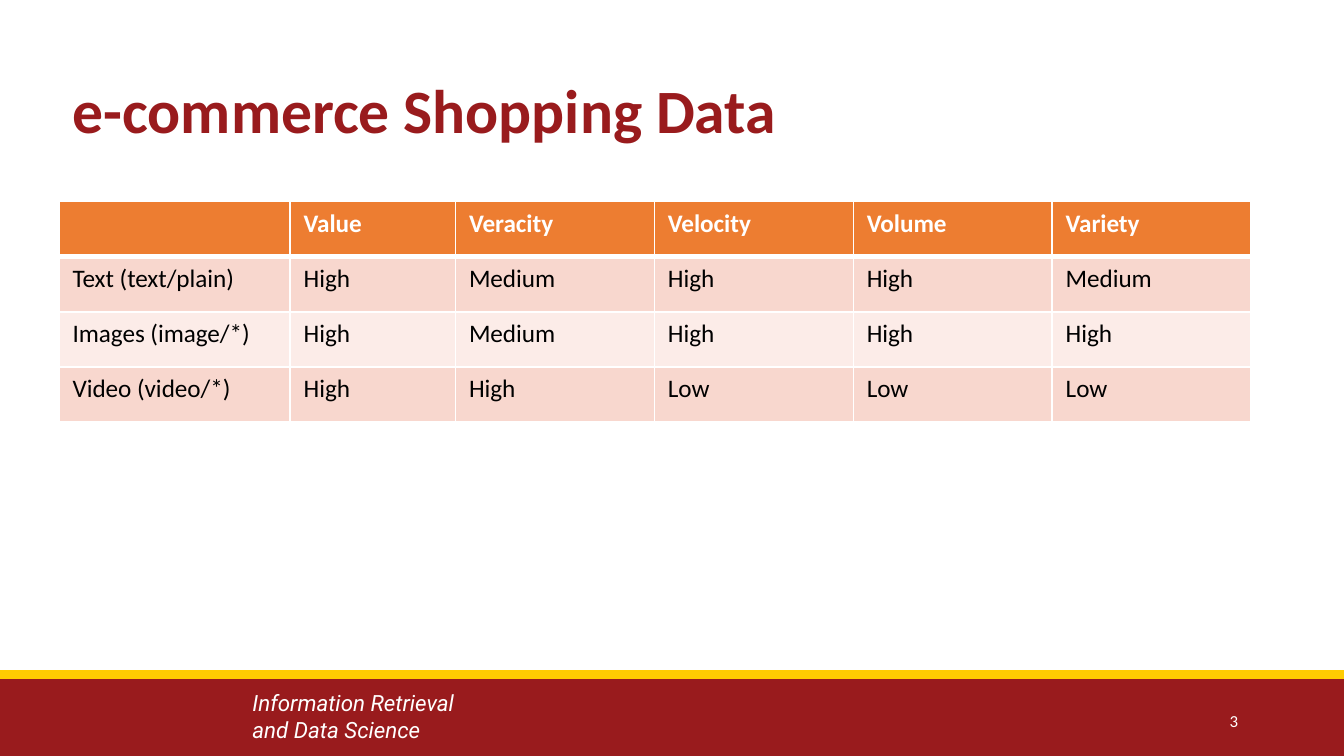
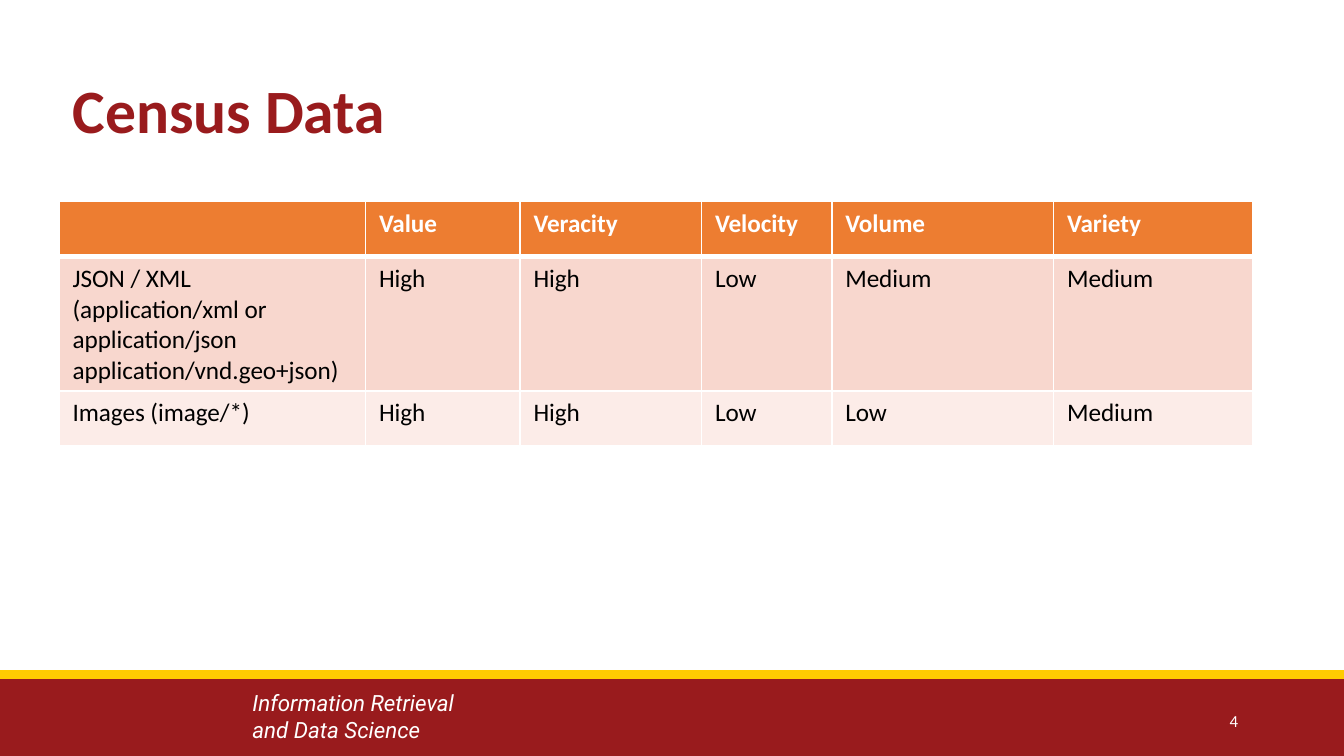
from lxml import etree
from pptx import Presentation
from pptx.dml.color import RGBColor
from pptx.enum import shapes, text
from pptx.oxml.ns import qn
from pptx.util import Inches, Pt

CARDINAL = RGBColor(0x99, 0x1B, 0x1D)
GOLD = RGBColor(0xFF, 0xCC, 0x01)
WHITE = RGBColor(0xFF, 0xFF, 0xFF)
BLACK = RGBColor(0x00, 0x00, 0x00)
ORANGE = RGBColor(0xED, 0x7D, 0x31)
BANDS = [RGBColor(0xF8, 0xD7, 0xCE), RGBColor(0xFC, 0xEC, 0xE8)]

SLIDE_W, SLIDE_H = 10, 5.625
LEFT, CONTENT_W = 0.44, 8.87
BAND_TOP = 5.02
TABLE_TOP, ROW_H = 1.5, 0.41
FIRST_NUMBER = 3

FOOTER = ["Information Retrieval", "and Data Science"]
HEADER = ["", "Value", "Veracity", "Velocity", "Volume", "Variety"]
SLIDES = [
    {
        "title": "e-commerce Shopping Data",
        "widths": [1.72, 1.23, 1.48, 1.48, 1.48, 1.48],
        "rows": [
            ["Text (text/plain)", "High", "Medium", "High", "High", "Medium"],
            ["Images (image/*)", "High", "Medium", "High", "High", "High"],
            ["Video (video/*)", "High", "High", "Low", "Low", "Low"],
        ],
    },
    {
        "title": "Census Data",
        "widths": [2.28, 1.15, 1.35, 0.97, 1.65, 1.48],
        "rows": [
            ["JSON / XML (application/xml or application/json\n"
             "application/vnd.geo+json)", "High", "High", "Low", "Medium", "Medium"],
            ["Images (image/*)", "High", "High", "Low", "Low", "Medium"],
        ],
    },
]


def write(frame, lines, size, color, font="Calibri", bold=False, italic=False):
    """Put each line in its own paragraph; return the paragraphs."""
    for number, line in enumerate(lines):
        paragraph = frame.paragraphs[0] if number == 0 else frame.add_paragraph()
        if not line:
            continue
        run = paragraph.add_run()
        run.text = line
        run.font.name = font
        run.font.size = Pt(size)
        run.font.bold = bold
        run.font.italic = italic
        run.font.color.rgb = color
    return frame.paragraphs


def add_footer(slide, number):
    band = slide.shapes.add_shape(
        shapes.MSO_SHAPE.RECTANGLE, 0, Inches(BAND_TOP),
        Inches(SLIDE_W), Inches(SLIDE_H - BAND_TOP))
    band.shadow.inherit = False
    band.fill.solid()
    band.fill.fore_color.rgb = CARDINAL
    band.line.fill.background()

    course = slide.shapes.add_textbox(Inches(1.78), Inches(5.08), Inches(1.79), Inches(0.5))
    course.text_frame.word_wrap = False
    course.text_frame.auto_size = text.MSO_AUTO_SIZE.SHAPE_TO_FIT_TEXT
    write(course.text_frame, FOOTER, 12, WHITE, font="Roboto", italic=True)

    rule = slide.shapes.add_connector(
        shapes.MSO_CONNECTOR.STRAIGHT, 0, Inches(BAND_TOP),
        Inches(SLIDE_W), Inches(BAND_TOP))
    rule.line.color.rgb = GOLD
    rule.line.width = Pt(4.5)
    etree.SubElement(rule._element.spPr, qn("a:effectLst"))

    page = slide.shapes.add_textbox(Inches(8.8), Inches(5.21), Inches(0.51), Inches(0.3))
    page.text_frame.word_wrap = True
    page.text_frame.vertical_anchor = text.MSO_ANCHOR.MIDDLE
    write(page.text_frame, [str(number)], 9, WHITE)[0].alignment = text.PP_ALIGN.RIGHT


def set_title(slide, wording):
    title = slide.shapes.title
    title.left, title.top = Inches(LEFT), Inches(0.3)
    title.width, title.height = Inches(CONTENT_W), Inches(1.09)
    title.text_frame.vertical_anchor = text.MSO_ANCHOR.MIDDLE
    heading = write(title.text_frame, [wording], 33, CARDINAL, bold=True)[0]
    heading.alignment = text.PP_ALIGN.LEFT
    heading.line_spacing = 0.9


def set_borders(cell, top, bottom):
    """Draw white borders, 1 pt at the sides; they must precede the fill."""
    properties = cell._tc.get_or_add_tcPr()
    widths = {"a:lnL": 1, "a:lnR": 1, "a:lnT": top, "a:lnB": bottom}
    for place, (side, width) in enumerate(widths.items()):
        border = etree.Element(qn(side), w=str(Pt(width)))
        fill = etree.SubElement(border, qn("a:solidFill"))
        etree.SubElement(fill, qn("a:srgbClr"), val=str(WHITE))
        properties.insert(place, border)


def add_ratings(slide, widths, rows):
    grid = [HEADER] + rows
    table = slide.shapes.add_table(
        len(grid), len(HEADER), Inches(LEFT), Inches(TABLE_TOP),
        Inches(CONTENT_W), Inches(ROW_H * len(grid))).table
    for column, width in zip(table.columns, widths):
        column.width = Inches(width)
    for r, ratings in enumerate(grid):
        table.rows[r].height = Inches(ROW_H)
        is_header = r == 0
        for c, rating in enumerate(ratings):
            cell = table.cell(r, c)
            cell.fill.solid()
            cell.fill.fore_color.rgb = ORANGE if is_header else BANDS[(r - 1) % 2]
            set_borders(cell, top=3 if r == 1 else 1, bottom=3 if is_header else 1)
            write(cell.text_frame, rating.split("\n"), 13.5,
                  WHITE if is_header else BLACK, bold=is_header)


def main():
    deck = Presentation()
    deck.slide_width, deck.slide_height = Inches(SLIDE_W), Inches(SLIDE_H)
    title_only = deck.slide_layouts[5]
    for number, content in enumerate(SLIDES, FIRST_NUMBER):
        slide = deck.slides.add_slide(title_only)
        add_footer(slide, number)
        set_title(slide, content["title"])
        add_ratings(slide, content["widths"], content["rows"])
    deck.save("out.pptx")


if __name__ == "__main__":
    main()
